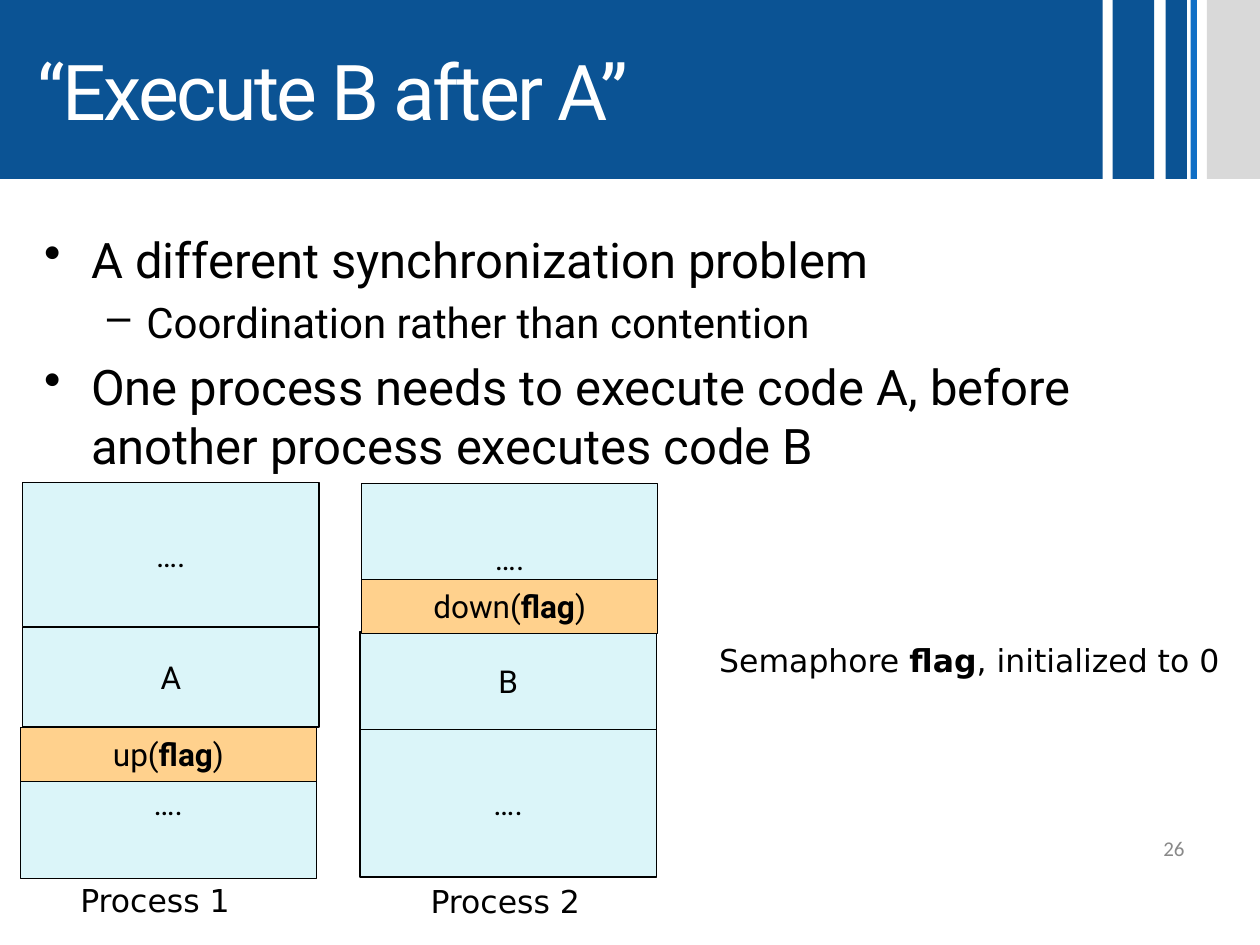
import pptx
import pptx.util
import pptx.dml.color
import pptx.enum.shapes
import pptx.enum.text
import lxml.etree

Cm, Pt = pptx.util.Cm, pptx.util.Pt
ALIGN = pptx.enum.text.PP_ALIGN
ANCHOR = pptx.enum.text.MSO_ANCHOR
COLOURS = {"banner": "0B5394", "accent": "0F6FC6", "grey": "D9D9D9", "code": "DBF5F9",
           "semaphore": "FFD18D", "ink": "000000", "white": "FFFFFF", "number": "898989"}
RGB = {name: pptx.dml.color.RGBColor.from_string(code) for name, code in COLOURS.items()}

deck = pptx.Presentation()
deck.slide_width, deck.slide_height = Cm(25.4), Cm(19.05)
slide = deck.slides.add_slide(deck.slide_layouts[6])


def add_block(left, top, width, height, fill, outlined=False):
    block = slide.shapes.add_shape(pptx.enum.shapes.MSO_SHAPE.RECTANGLE,
                                   Cm(left), Cm(top), Cm(width), Cm(height))
    block.shadow.inherit = False
    block.fill.solid()
    block.fill.fore_color.rgb = RGB[fill]
    if outlined:
        block.line.color.rgb = RGB["ink"]
        block.line.width = Pt(0.75)
    else:
        block.line.fill.background()
    return block


def write(paragraph, text, size, face="Roboto", colour="ink", align=ALIGN.LEFT):
    paragraph.alignment = align
    for position, part in enumerate(text.split("*")):
        run = paragraph.add_run()
        run.text = part
        for attribute, value in {"name": face, "size": Pt(size), "bold": position % 2 == 1}.items():
            setattr(run.font, attribute, value)
        run.font.color.rgb = RGB[colour]


for left, width, fill in [(22.43, 0.84, "banner"), (23.5, 0.43, "banner"),
                          (24, 0.13, "accent"), (24.33, 1.07, "grey")]:
    add_block(left, 0, width, 3.61, fill)

title = add_block(0, 0, 22.23, 3.61, "banner").text_frame
for attribute, value in {"margin_left": Cm(0.76), "word_wrap": True,
                         "vertical_anchor": ANCHOR.MIDDLE}.items():
    setattr(title, attribute, value)
write(title.paragraphs[0], "“Execute B after A”", 44, colour="white")
title.paragraphs[0].runs[0].font._element.set("spc", "-150")

points = slide.shapes.add_textbox(Cm(0.64), Cm(4.5), Cm(23.5), Cm(12.57)).text_frame
points.word_wrap = True
for position, (level, text) in enumerate([
        (0, "A different synchronization problem"),
        (1, "Coordination rather than contention"),
        (0, "One process needs to execute code A, before another process executes code B")]):
    point = points.add_paragraph() if position else points.paragraphs[0]
    size, indent, hang, mark = [(28, 0.95, 0.95, "•"), (24, 2.06, 0.79, "–")][level]
    point.level = level
    if position:
        point.space_before = Pt(size * 0.2)
    properties = point._p.get_or_add_pPr()
    properties.set("marL", str(Cm(indent)))
    properties.set("indent", str(-Cm(hang)))
    bullet = lxml.etree.SubElement(properties, pptx.oxml.ns.qn("a:buChar"))
    bullet.set("char", mark)
    write(point, text, size)

for left, top, height, fill, text in [
        (0.46, 9.73, 2.9, "code", "…."),
        (0.46, 12.65, 2.01, "code", "A"),
        (0.41, 14.66, 3.05, "code", "…."),
        (0.41, 14.66, 1.09, "semaphore", "up(*flag*)"),
        (7.29, 9.75, 3, "code", "…."),
        (7.26, 12.73, 2.01, "code", "B"),
        (7.26, 14.71, 2.97, "code", "…."),
        (7.29, 11.68, 1.09, "semaphore", "down(*flag*)")]:
    step = add_block(left, top, 5.97, height, fill, outlined=True).text_frame
    step.word_wrap = False
    step.vertical_anchor = ANCHOR.MIDDLE
    write(step.paragraphs[0], text, 18, align=ALIGN.CENTER)

for left, top, width, text in [(1.37, 17.63, 3.58, "Process 1"),
                               (8.43, 17.65, 3.58, "Process 2"),
                               (14.25, 12.8, 10.77, "Semaphore *flag*, initialized to 0")]:
    caption = slide.shapes.add_textbox(Cm(left), Cm(top), Cm(width), Cm(1.02)).text_frame
    caption.word_wrap = False
    write(caption.paragraphs[0], text, 18, "DejaVu Sans")

page = slide.shapes.add_textbox(Cm(18.21), Cm(16.59), Cm(5.92), Cm(1.02)).text_frame
page.word_wrap = True
page.vertical_anchor = ANCHOR.MIDDLE
write(page.paragraphs[0], "26", 12, "Calibri", "number", ALIGN.RIGHT)

deck.save("out.pptx")
